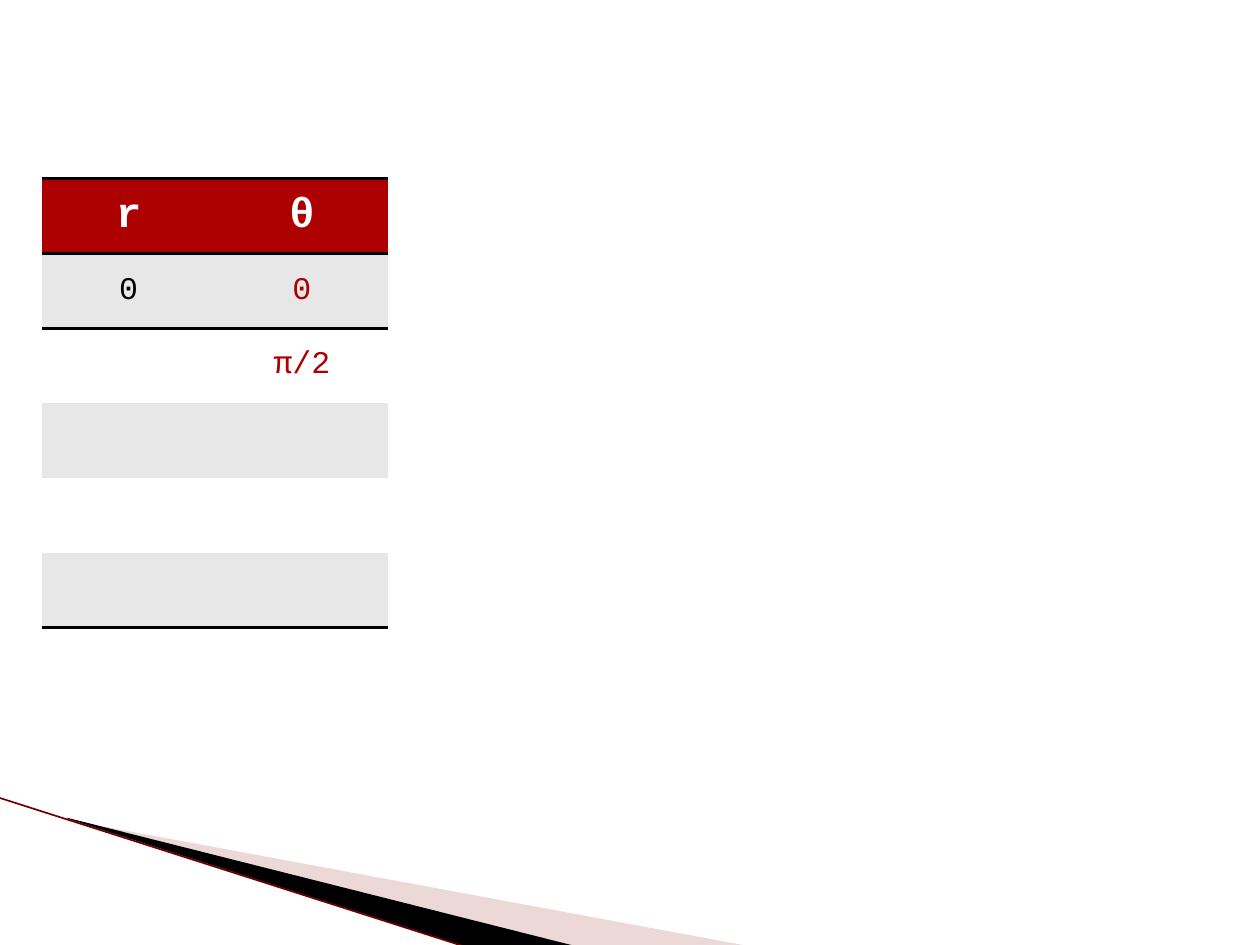
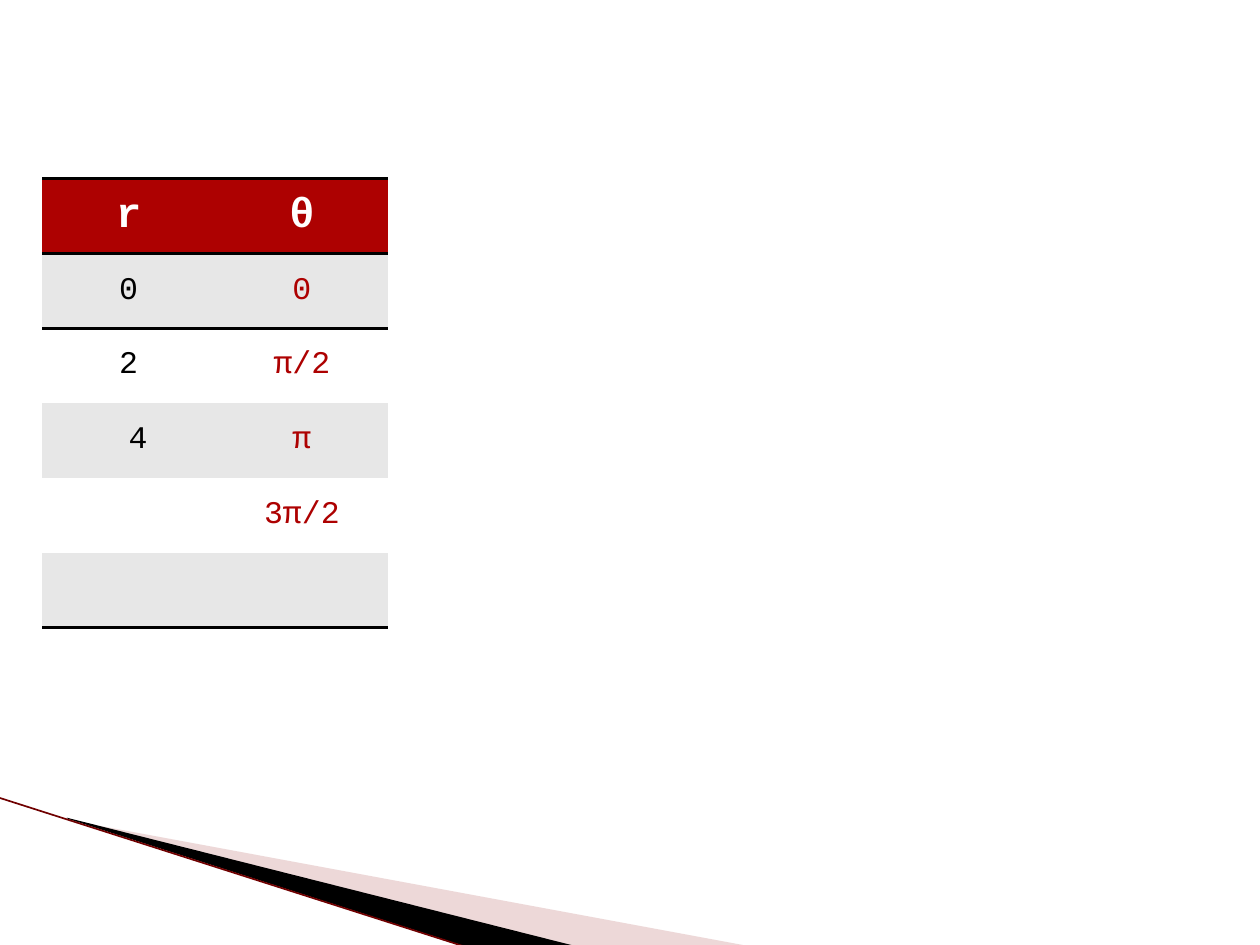
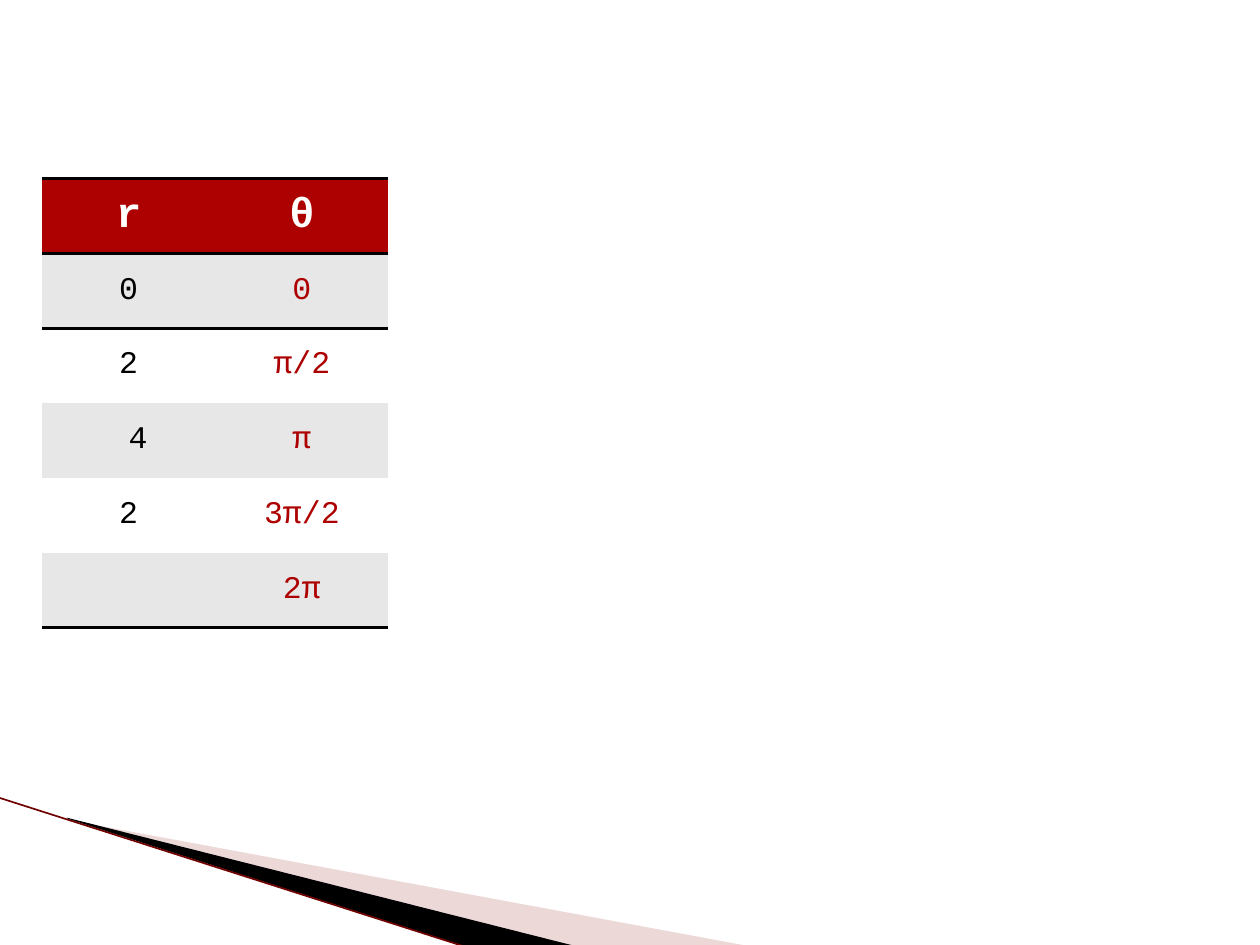
"""Build three slides that fill in a polar coordinate table step by step."""

import dataclasses

import pptx
import pptx.dml.color
import pptx.enum.text
import pptx.oxml
import pptx.oxml.ns
import pptx.oxml.xmlchemy
import pptx.presentation
import pptx.shapes.base
import pptx.slide
import pptx.table
import pptx.util

Pt = pptx.util.Pt
Point = tuple[float, float]

COLORS = {
    "red": "AD0101",
    "pale": "D29E9E",
    "edge": "700000",
    "band": "E7E7E7",
    "black": "000000",
    "white": "FFFFFF",
}
FONT = "Courier New"
NO_TABLE_STYLE = "{2D5ABB26-0587-4C30-8999-92F81FD0307C}"
TABLE_LEFT, TABLE_TOP = 24, 102
COLUMN_WIDTH, ROW_HEIGHT = 99, 42.75
RULE_WIDTH = 2

HEADINGS = ("r", "θ")
RADII = ("0", "2", " 4", "2")
ANGLES = ("0", "π/2", "π", "3π/2", "2π")


@dataclasses.dataclass(frozen=True)
class Wedge:
    points: tuple[Point, ...]
    color: str
    opacity: int = 100


@dataclasses.dataclass(frozen=True)
class Step:
    radii_shown: int
    angles_shown: int


WEDGES = (
    Wedge(((39.6, 468.7), (428.4, 540.7), (328.3, 540.7), (39.6, 468)), "pale", 40),
    Wedge(((38.2, 467.3), (329, 540.7), (267.8, 541.4), (38.9, 468)), "black"),
)
EDGE_START, EDGE_END = (-0.7, 455.8), (267.1, 541.4)
STEPS = (Step(1, 2), Step(3, 4), Step(4, 5))


def rgb(name: str) -> pptx.dml.color.RGBColor:
    return pptx.dml.color.RGBColor.from_string(COLORS[name])


def add_element(
    parent: pptx.oxml.xmlchemy.BaseOxmlElement, tag: str, **attributes: str
) -> pptx.oxml.xmlchemy.BaseOxmlElement:
    element = pptx.oxml.xmlchemy.OxmlElement(tag)
    for name, value in attributes.items():
        element.set(name, value)
    parent.append(element)
    return element


def draw_wedge(slide: pptx.slide.Slide, wedge: Wedge) -> None:
    start, *others = [(Pt(x), Pt(y)) for x, y in wedge.points]
    builder = slide.shapes.build_freeform(*start)
    builder.add_line_segments(others, close=True)
    shape = builder.convert_to_shape()
    shape.shadow.inherit = False
    shape.line.fill.background()
    shape.fill.solid()
    shape.fill.fore_color.rgb = rgb(wedge.color)
    if wedge.opacity < 100:
        color = shape._element.spPr.find(".//" + pptx.oxml.ns.qn("a:srgbClr"))
        add_element(color, "a:alpha", val=str(wedge.opacity * 1000))


def draw_corner(slide: pptx.slide.Slide) -> None:
    for wedge in WEDGES:
        draw_wedge(slide, wedge)
    ends = [Pt(length) for length in EDGE_START + EDGE_END]
    edge = slide.shapes.add_connector(pptx.enum.shapes.MSO_CONNECTOR.STRAIGHT, *ends)
    edge.line.color.rgb = rgb("edge")
    edge.line.width = Pt(0.95)
    add_element(edge._element.spPr, "a:effectLst")


def write_text(
    cell: pptx.table._Cell, text: str, *, size: int = 18, color: str = "black", bold: bool = False
) -> None:
    cell.vertical_anchor = pptx.enum.text.MSO_ANCHOR.MIDDLE
    paragraph = cell.text_frame.paragraphs[0]
    paragraph.alignment = pptx.enum.text.PP_ALIGN.CENTER
    run = paragraph.add_run()
    run.text = text
    run.font.name = FONT
    run.font.size = Pt(size)
    run.font.bold = bold
    run.font.color.rgb = rgb(color)


def style_cell(cell: pptx.table._Cell, fill: str, rules: list[str]) -> None:
    properties = cell._tc.get_or_add_tcPr()
    for tag in rules:
        line = add_element(properties, tag, w=str(Pt(RULE_WIDTH)))
        solid = add_element(line, "a:solidFill")
        add_element(solid, "a:srgbClr", val=COLORS["black"])
    cell.fill.solid()
    cell.fill.fore_color.rgb = rgb(fill)


def draw_table(slide: pptx.slide.Slide, step: Step) -> None:
    row_count = len(ANGLES) + 1
    frame = slide.shapes.add_table(
        row_count, len(HEADINGS), Pt(TABLE_LEFT), Pt(TABLE_TOP),
        Pt(COLUMN_WIDTH * len(HEADINGS)), Pt(ROW_HEIGHT * row_count),
    )
    table = frame.table
    table.horz_banding = False
    frame._element.find(".//" + pptx.oxml.ns.qn("a:tableStyleId")).text = NO_TABLE_STYLE
    for column in table.columns:
        column.width = Pt(COLUMN_WIDTH)

    for index, row in enumerate(table.rows):
        row.height = Pt(ROW_HEIGHT)
        fill = "red" if index == 0 else "band" if index % 2 else "white"
        rules = ["a:lnT"] if index in (0, 1) else []
        if index in (0, row_count - 1):
            rules.append("a:lnB")
        for cell in row.cells:
            style_cell(cell, fill, rules)

    for column, heading in enumerate(HEADINGS):
        write_text(table.cell(0, column), heading, size=24, color="white", bold=True)
    for index, radius in enumerate(RADII[:step.radii_shown], start=1):
        write_text(table.cell(index, 0), radius)
    for index, angle in enumerate(ANGLES[:step.angles_shown], start=1):
        write_text(table.cell(index, 1), angle, color="red")


def main() -> None:
    presentation = pptx.Presentation()
    presentation.slide_width, presentation.slide_height = Pt(720), Pt(540)
    blank_layout = presentation.slide_layouts[6]
    for step in STEPS:
        slide = presentation.slides.add_slide(blank_layout)
        draw_corner(slide)
        draw_table(slide, step)
    presentation.save("out.pptx")


if __name__ == "__main__":
    main()
